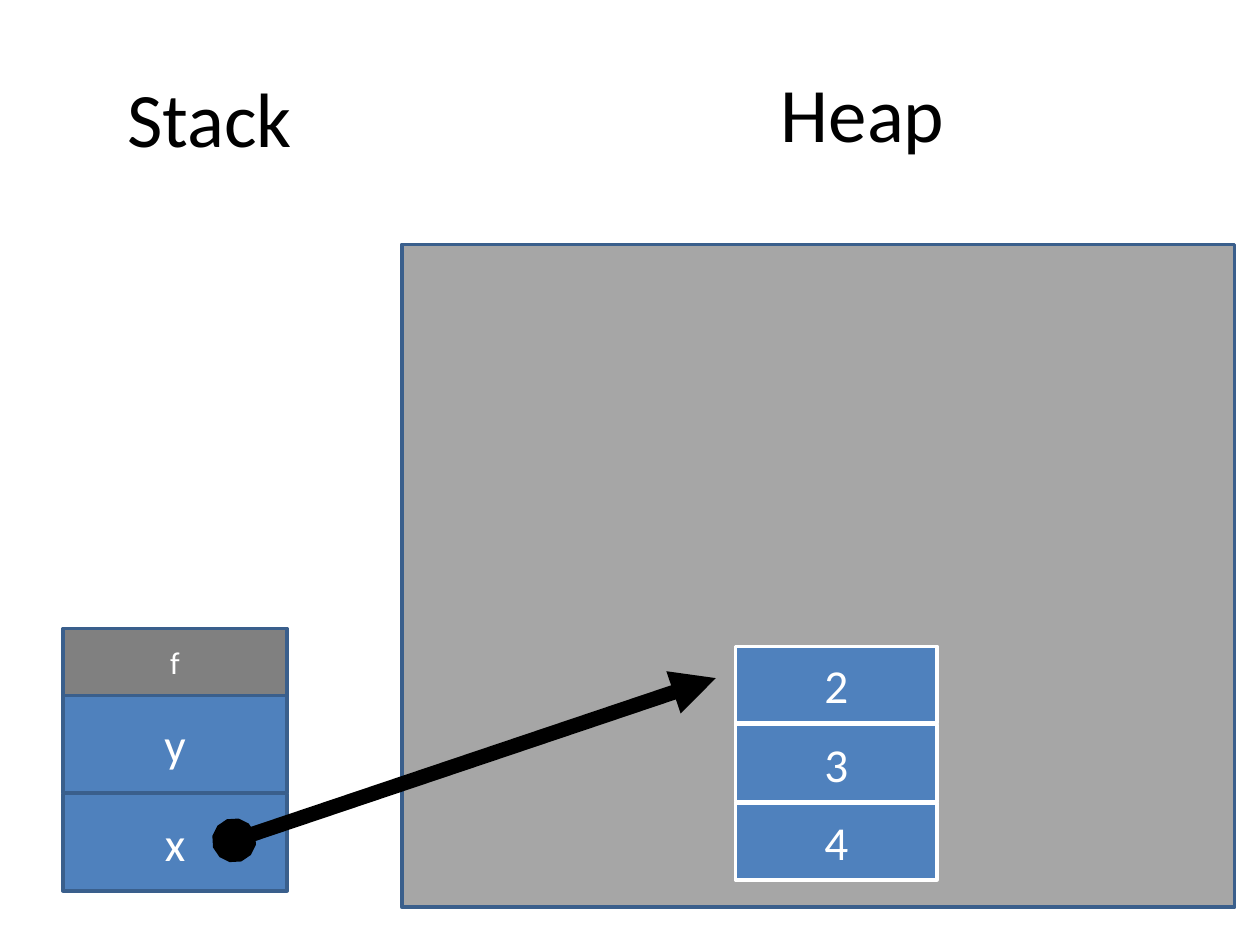
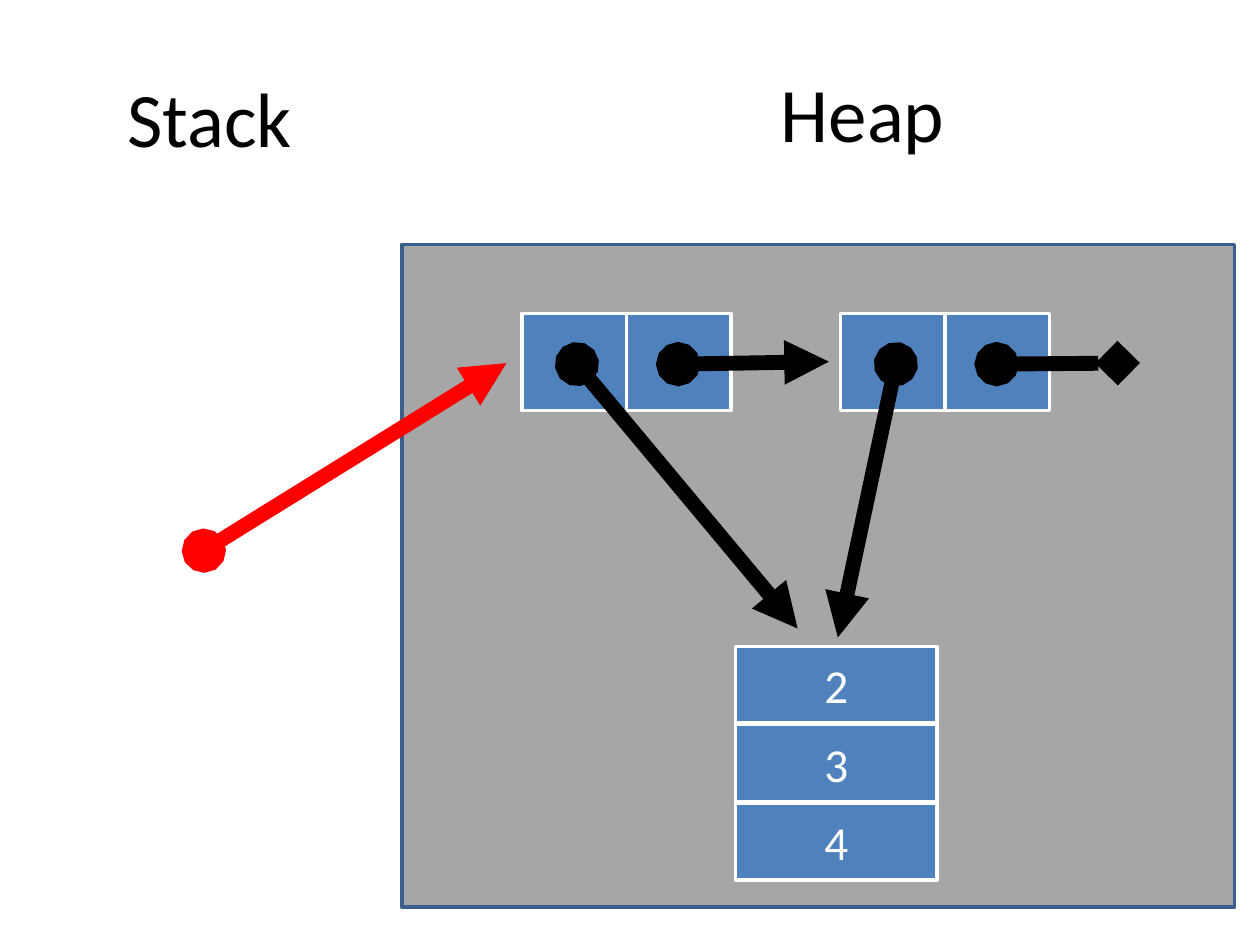
from pptx import Presentation
from pptx.dml.color import RGBColor
from pptx.enum import shapes, text
from pptx.oxml import ns, xmlchemy
from pptx.util import Cm, Pt

WHITE = RGBColor(0xFF, 0xFF, 0xFF)
BLACK = RGBColor(0x00, 0x00, 0x00)
RED = RGBColor(0xFF, 0x00, 0x00)
BLUE = RGBColor(0x4F, 0x81, 0xBD)
NAVY = RGBColor(0x3A, 0x5F, 0x8C)
GREY = RGBColor(0x80, 0x80, 0x80)
SILVER = RGBColor(0xA6, 0xA6, 0xA6)


def box(tree, words, x, y, w, h, fill=BLUE, edge=WHITE, size=27, color=WHITE):
    place = Cm(x), Cm(y), Cm(w), Cm(h)
    if fill is None:
        item = tree.add_textbox(*place)
    else:
        item = tree.add_shape(shapes.MSO_SHAPE.RECTANGLE, *place)
        item.shadow.inherit = False
        item.fill.solid()
        item.fill.fore_color.rgb = fill
        item.line.color.rgb = edge
        item.line.width = Pt(2)
    if words:
        frame = item.text_frame
        frame.word_wrap = True
        frame.vertical_anchor = text.MSO_ANCHOR.MIDDLE
        para = frame.paragraphs[0]
        para.alignment = text.PP_ALIGN.CENTER
        run = para.add_run()
        run.text = words
        run.font.name = "Calibri"
        run.font.size = Pt(size)
        run.font.color.rgb = color


def link(tree, x1, y1, x2, y2, color=BLACK, tip="triangle"):
    line = tree.add_connector(shapes.MSO_CONNECTOR.STRAIGHT, Cm(x1), Cm(y1), Cm(x2), Cm(y2))
    line.line.color.rgb = color
    line.line.width = Pt(8.5)
    prop = line.element.spPr
    edge = prop.find(ns.qn("a:ln"))
    for tag, kind in (("a:headEnd", "oval"), ("a:tailEnd", tip)):
        end = xmlchemy.OxmlElement(tag)
        end.set("type", kind)
        edge.append(end)
    prop.append(xmlchemy.OxmlElement("a:effectLst"))


deck = Presentation()
deck.slide_width, deck.slide_height = Cm(25.4), Cm(19.05)

trees = []
for num in range(2):
    tree = deck.slides.add_slide(deck.slide_layouts[6]).shapes
    trees.append(tree)
    box(tree, "Stack", 1.27, 0.76, 5.92, 3.18, fill=None, size=44, color=BLACK)
    box(tree, "", 8.1, 4.93, 16.79, 13.36, fill=SILVER, edge=NAVY)
    box(tree, "Heap", 14.43, 0.66, 5.92, 3.18, fill=None, size=44, color=BLACK)
    array = tree.add_group_shape().shapes
    for row, value in enumerate("234"):
        box(array, value, 14.83, 13.03 + 1.58 * row, 4.06, 1.55)

first, second = trees

stack = first.add_group_shape().shapes
box(stack, "f", 1.27, 12.67, 4.52, 1.35, fill=GREY, edge=NAVY, size=18)
for row, name in enumerate("yx"):
    box(stack, name, 1.27, 14.02 + 1.98 * row, 4.52, 1.96, edge=NAVY)
link(first, 4.72, 16.94, 14.43, 13.67)

for left in (10.52, 16.94):
    pair = second.add_group_shape().shapes
    for col in range(2):
        box(pair, "", left + 2.11 * col, 6.32, 2.11, 1.96)

link(second, 13.67, 7.34, 16.71, 7.29)
link(second, 11.63, 7.34, 16.08, 12.67)
link(second, 20.09, 7.34, 22.53, 7.32, tip="diamond")
link(second, 18.06, 7.34, 16.89, 12.85)
link(second, 4.11, 11.1, 10.21, 7.32, color=RED)

deck.save("out.pptx")
